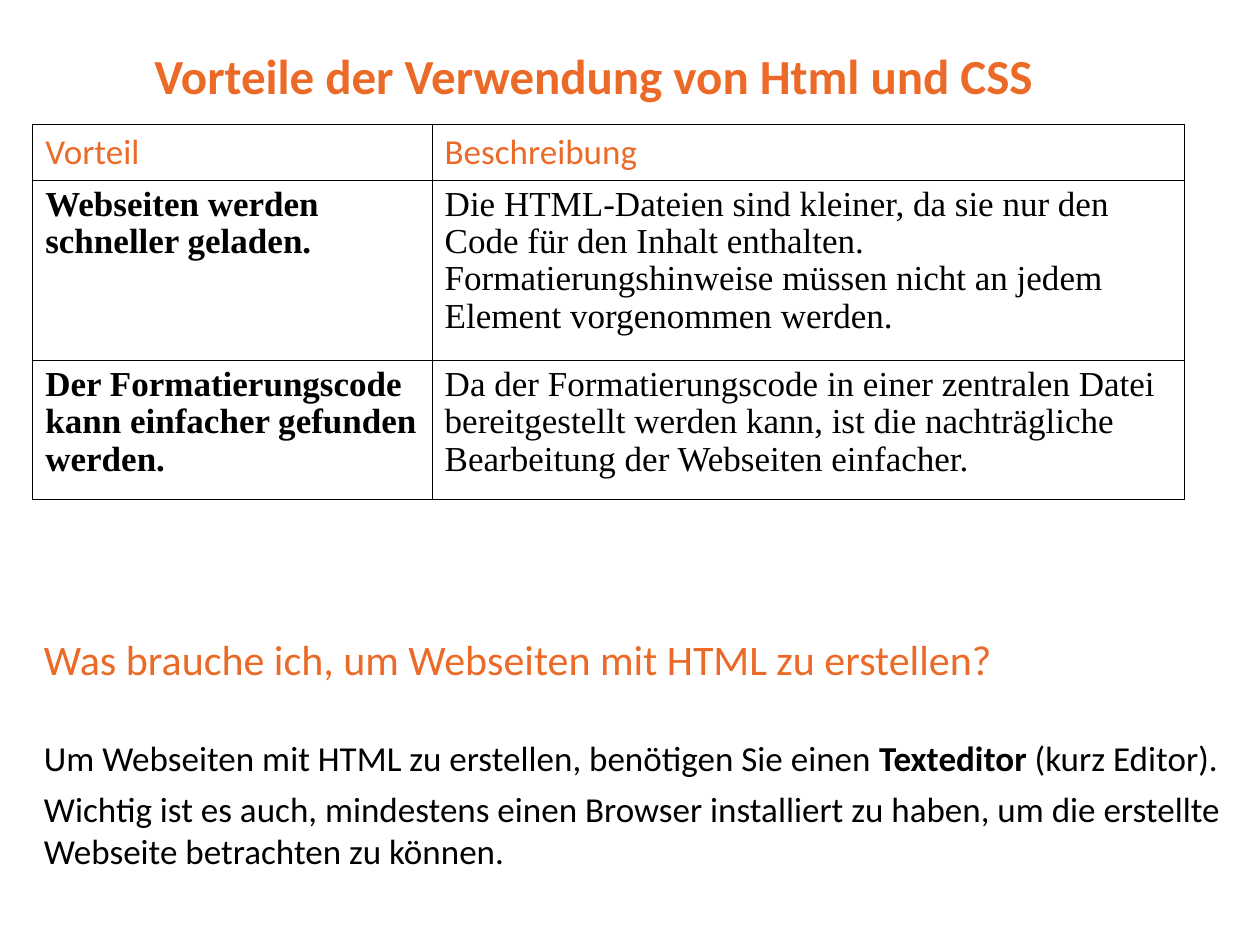
import pptx
import pptx.dml.color
import pptx.enum.text
import pptx.oxml
import pptx.oxml.ns
import pptx.util

Inches = pptx.util.Inches
Pt = pptx.util.Pt
ALIGN = pptx.enum.text.PP_ALIGN

COLORS = {"accent": "EC6A27", "text": "000000"}
HEADER = {"size": Pt(20), "name": "Calibri", "bold": False, "color": "accent"}
ADVANTAGE = {"size": Pt(20), "name": "Times New Roman", "bold": True, "color": "text"}
DESCRIPTION = {**ADVANTAGE, "bold": False}
TITLE = {**HEADER, "size": Pt(28), "bold": True}
QUESTION = {**HEADER, "size": Pt(24)}
BODY = {**HEADER, "color": "text"}
STRONG = {**BODY, "bold": True}

TABLE_ROWS = [
    (["Vorteil"], ["Beschreibung"]),
    (
        ["Webseiten werden", "schneller geladen."],
        ["Die HTML-Dateien sind kleiner, da sie nur den Code für den Inhalt enthalten. "
         "Formatierungshinweise müssen nicht an jedem Element vorgenommen werden."],
    ),
    (
        ["Der Formatierungscode", "kann einfacher gefunden werden."],
        ["Da der Formatierungscode in einer zentralen Datei bereitgestellt werden kann, "
         "ist die nachträgliche Bearbeitung der Webseiten einfacher."],
    ),
]
COLUMN_WIDTHS = [3.17, 5.97]
ROW_HEIGHTS = [0.43, 1.43, 1.1]

REQUIREMENTS = [
    (6, [("Was brauche ich, um Webseiten mit HTML zu erstellen?", QUESTION)]),
    (30, [
        ("Um Webseiten mit HTML zu erstellen, benötigen Sie einen ", BODY),
        ("Texteditor ", STRONG),
        ("(kurz Editor).", BODY),
    ]),
    (5, [("Wichtig ist es auch, mindestens einen Browser installiert zu haben, "
          "um die erstellte Webseite betrachten zu können.", BODY)]),
]


def set_attributes(target, values):
    """Set each named value on the target."""
    for name, value in values.items():
        setattr(target, name, value)


def add_run(paragraph, text, style):
    """Append a run of text in the given style."""
    run = paragraph.add_run()
    run.text = text
    set_attributes(run.font, {name: style[name] for name in ("size", "name", "bold")})
    run.font.color.rgb = pptx.dml.color.RGBColor.from_string(COLORS[style["color"]])


def add_paragraphs(text_frame, paragraphs, **paragraph_format):
    """Fill the frame with paragraphs given as lists of text and style pairs."""
    for index, runs in enumerate(paragraphs):
        paragraph = text_frame.add_paragraph() if index else text_frame.paragraphs[0]
        set_attributes(paragraph, paragraph_format)
        for text, style in runs:
            add_run(paragraph, text, style)


def place(shape, box):
    """Move the shape to a box of left, top, width and height in inches."""
    lengths = (Inches(value) for value in box)
    set_attributes(shape, dict(zip(("left", "top", "width", "height"), lengths)))


def format_frame(text_frame):
    """Give the frame wrapping, top-anchored text with regular margins."""
    set_attributes(text_frame, {
        "word_wrap": True,
        "auto_size": pptx.enum.text.MSO_AUTO_SIZE.NONE,
        "vertical_anchor": pptx.enum.text.MSO_ANCHOR.TOP,
        "margin_left": Inches(0.1),
        "margin_right": Inches(0.1),
        "margin_top": Inches(0.05),
        "margin_bottom": Inches(0.05),
    })


def add_title(slide, box):
    """Place and fill the title placeholder."""
    title = slide.shapes.title
    place(title, box)
    format_frame(title.text_frame)
    add_paragraphs(title.text_frame, [[("Vorteile der Verwendung von Html und CSS", TITLE)]],
                   alignment=ALIGN.CENTER, line_spacing=1.0, space_before=Pt(0))


def add_borders(cell):
    """Draw a thin line on all four sides of the cell."""
    properties = cell._tc.get_or_add_tcPr()
    for position, side in enumerate(("lnL", "lnR", "lnT", "lnB")):
        line = pptx.oxml.parse_xml(
            f'<a:{side} {pptx.oxml.ns.nsdecls("a")} w="{Pt(0.45)}"><a:solidFill>'
            f'<a:srgbClr val="{COLORS["text"]}"/></a:solidFill></a:{side}>'
        )
        properties.insert(position, line)


def add_advantages(slide, box):
    """Add the bordered table of advantages."""
    lengths = [Inches(value) for value in box]
    table = slide.shapes.add_table(len(TABLE_ROWS), len(COLUMN_WIDTHS), *lengths).table
    set_attributes(table, {"first_row": False, "horz_banding": False})
    for column, width in zip(table.columns, COLUMN_WIDTHS):
        column.width = Inches(width)
    for row, height in zip(table.rows, ROW_HEIGHTS):
        row.height = Inches(height)
    for row_index, texts in enumerate(TABLE_ROWS):
        styles = (ADVANTAGE, DESCRIPTION) if row_index else (HEADER, HEADER)
        spacing = 0.96 if row_index else 1.0
        for column_index, (lines, style) in enumerate(zip(texts, styles)):
            cell = table.cell(row_index, column_index)
            cell.fill.background()
            add_borders(cell)
            add_paragraphs(cell.text_frame, [[(line, style)] for line in lines],
                           line_spacing=spacing)


def add_requirements(slide, box):
    """Add the question and its answer below the table."""
    text_box = slide.shapes.add_textbox(*(Inches(value) for value in box))
    text_frame = text_box.text_frame
    format_frame(text_frame)
    add_paragraphs(text_frame, [runs for _, runs in REQUIREMENTS])
    for paragraph, (space, _) in zip(text_frame.paragraphs, REQUIREMENTS):
        paragraph.space_before = Pt(space)


def main():
    """Build and save the presentation."""
    presentation = pptx.Presentation()
    set_attributes(presentation, {"slide_width": Inches(10), "slide_height": Inches(7.5)})
    slide = presentation.slides.add_slide(presentation.slide_layouts[5])
    add_title(slide, (0.26, 0.31, 8.9, 0.57))
    add_advantages(slide, (0.26, 0.99, sum(COLUMN_WIDTHS), sum(ROW_HEIGHTS)))
    add_requirements(slide, (0.25, 4.98, 9.61, 1.98))
    presentation.save("out.pptx")


if __name__ == "__main__":
    main()
